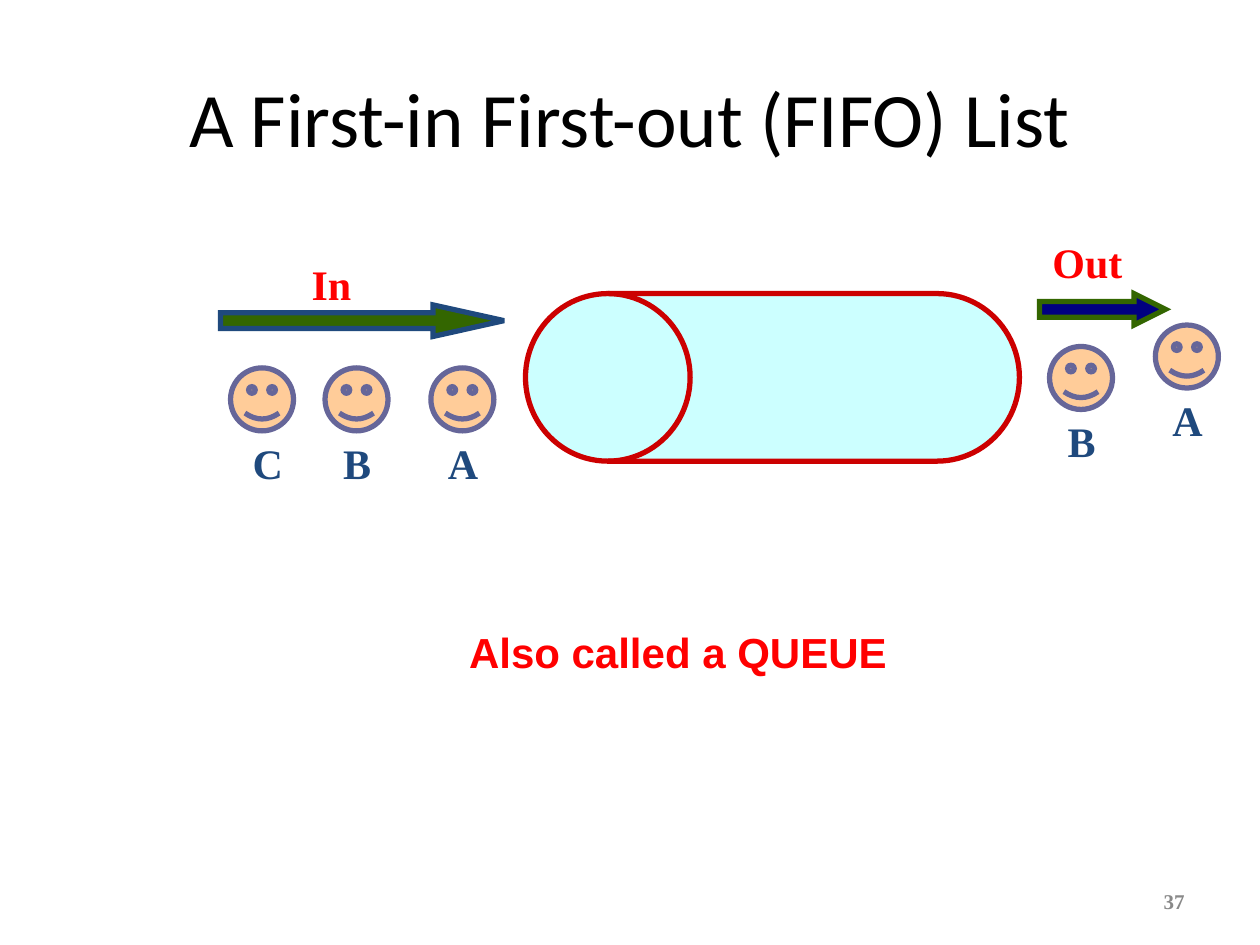
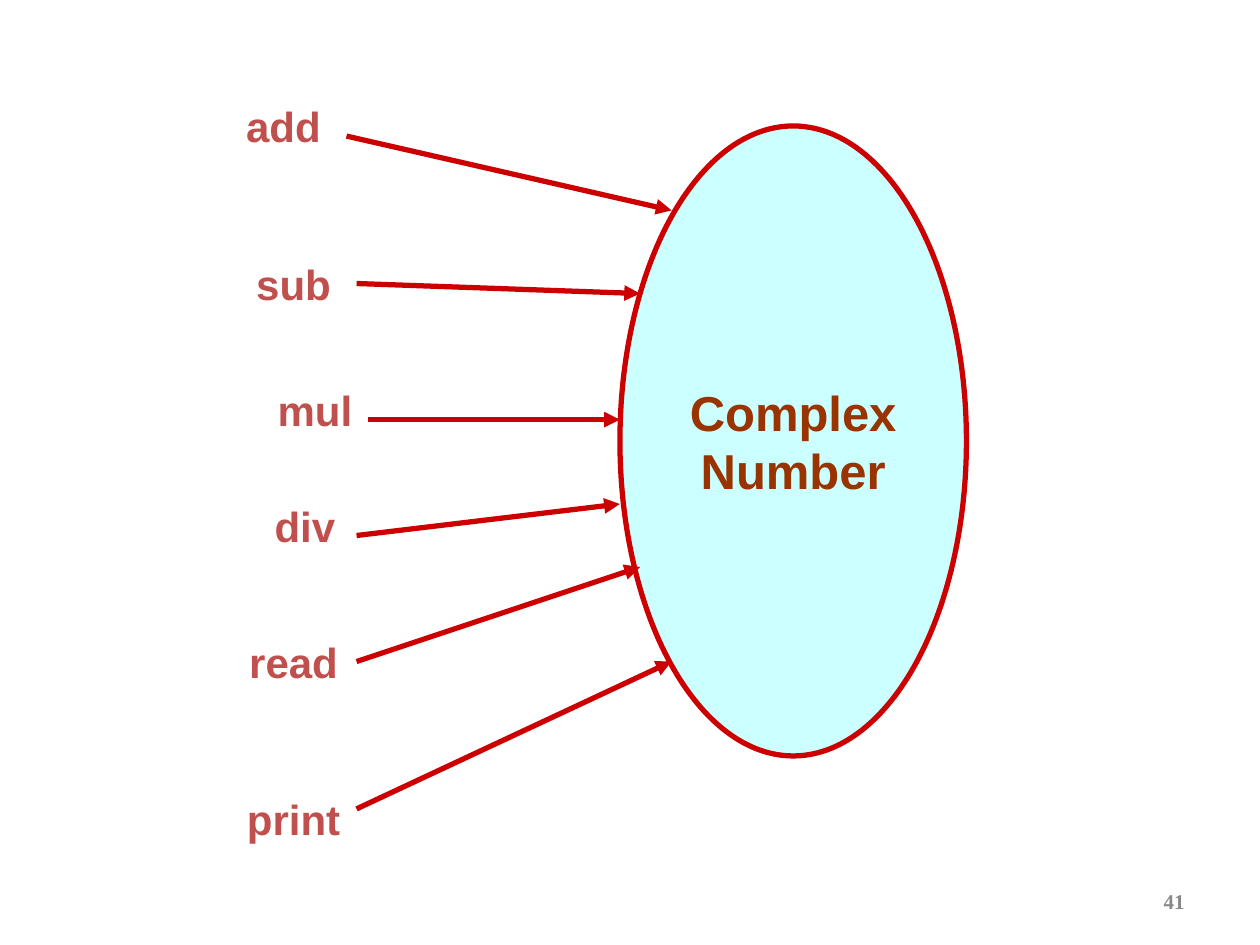
from pptx import Presentation
from pptx.dml.color import RGBColor
from pptx.enum import shapes, text
from pptx.oxml.ns import qn
from pptx.util import Inches, Pt
from lxml import etree

SHAPE = shapes.MSO_SHAPE
CENTER, RIGHT = text.PP_ALIGN.CENTER, text.PP_ALIGN.RIGHT
TOP, MIDDLE = text.MSO_ANCHOR.TOP, text.MSO_ANCHOR.MIDDLE

SERIF, SANS, TITLE_FONT = "Times New Roman", "Arial", "Calibri"
RED, DARK_RED, CYAN = "FF0000", "CC0000", "CCFFFF"
NAVY, GREEN = "1F497D", "336600"
LINE_WIDTH = 3
FACE_SIZE = 0.5


def rgb(hex_color):
    return RGBColor.from_string(hex_color)


def write(tf, lines, size, font, color, bold=True, align=CENTER, anchor=TOP):
    tf.vertical_anchor = anchor
    for i, line in enumerate(lines):
        p = tf.paragraphs[0] if i == 0 else tf.add_paragraph()
        p.alignment = align
        r = p.add_run()
        r.text = line
        r.font.size = Pt(size)
        r.font.name = font
        r.font.bold = bold
        r.font.color.rgb = rgb(color)


def add_text(parent, box, content, size, font, color, **style):
    tf = parent.add_textbox(*map(Inches, box)).text_frame
    tf.word_wrap = True
    write(tf, [content], size, font, color, **style)


def add_shape(parent, kind, box, fill, line):
    sp = parent.add_shape(kind, *map(Inches, box))
    sp.shadow.inherit = False
    sp.fill.solid()
    sp.fill.fore_color.rgb = rgb(fill)
    sp.line.color.rgb = rgb(line)
    sp.line.width = Pt(LINE_WIDTH)
    ln = sp._element.spPr.find(qn("a:ln"))
    etree.SubElement(ln, qn("a:miter"), lim="800000")
    return sp


def add_block_arrow(parent, box, head, fill, line):
    sp = add_shape(parent, SHAPE.RIGHT_ARROW, box, fill, line)
    sp.adjustments[0] = 0.5
    sp.adjustments[1] = head


def add_person(s, name, left, top, label_width=0.67):
    group = s.shapes.add_group_shape().shapes
    face = add_shape(group, SHAPE.SMILEY_FACE,
                     (left, top, FACE_SIZE, FACE_SIZE), "FFCC99", "666699")
    face.adjustments[0] = 0.09
    add_text(group, (left - 0.08, top + FACE_SIZE, label_width, 0.5),
             name, 24, SERIF, NAVY)


def add_arrow(s, start, end):
    points = map(Inches, (*start, *end))
    cx = s.shapes.add_connector(shapes.MSO_CONNECTOR.STRAIGHT, *points)
    cx.line.color.rgb = rgb(DARK_RED)
    cx.line.width = Pt(LINE_WIDTH)
    spPr = cx._element.spPr
    etree.SubElement(spPr.find(qn("a:ln")), qn("a:tailEnd"), type="triangle")
    etree.SubElement(spPr, qn("a:effectLst"))


def add_slide(prs, number):
    s = prs.slides.add_slide(prs.slide_layouts[6])
    add_text(s.shapes, (7.17, 6.95, 2.33, 0.4), str(number), 12, SERIF,
             "898989", align=RIGHT, anchor=MIDDLE)
    return s


def build_queue(prs):
    s = add_slide(prs, 37)
    add_text(s.shapes, (0.5, 0.3, 9, 1.25), "A First-in First-out (FIFO) List",
             44, TITLE_FONT, "000000", bold=False, anchor=MIDDLE)
    drum = add_shape(s.shapes, SHAPE.FLOWCHART_DIRECT_ACCESS_STORAGE,
                     (4.17, 2.33, 3.92, 1.33), CYAN, DARK_RED)
    drum.rotation = 180
    add_block_arrow(s.shapes, (1.75, 2.42, 2.25, 0.25), 2.25, GREEN, NAVY)
    add_block_arrow(s.shapes, (8.25, 2.33, 1, 0.25), 1, "000080", GREEN)
    add_text(s.shapes, (2.67, 4.92, 5.42, 0.5), "Also called a QUEUE",
             24, SANS, RED)
    for label, left, top in (("In", 2.17, 2), ("Out", 8.17, 1.83)):
        add_text(s.shapes, (left, top, 0.92, 0.5), label, 24, SERIF, RED)
    add_person(s, "A", 3.42, 2.92)
    add_person(s, "C", 1.83, 2.92, label_width=0.75)
    add_person(s, "B", 2.58, 2.92)
    add_person(s, "A", 9.17, 2.58)
    add_person(s, "B", 8.33, 2.75)


def build_complex_number(prs):
    s = add_slide(prs, 41)
    ellipse = add_shape(s.shapes, SHAPE.OVAL, (4.92, 1, 2.75, 5),
                        CYAN, DARK_RED)
    ellipse.text_frame.word_wrap = False
    write(ellipse.text_frame, ["Complex", "Number"], 28, SANS, "993300",
          anchor=MIDDLE)
    operations = (
        ("add", (1.75, 0.75), (2.75, 1.08), (5.33, 1.67)),
        ("sub", (1.83, 2), (2.83, 2.25), (5.08, 2.33)),
        ("mul", (2, 3), (2.92, 3.33), (4.92, 3.33)),
        ("div", (1.92, 3.92), (2.83, 4.25), (4.92, 4)),
        ("read", (1.83, 5), (2.83, 5.25), (5.08, 4.5)),
        ("print", (1.83, 6.25), (2.83, 6.42), (5.33, 5.25)),
    )
    for name, corner, start, end in operations:
        add_arrow(s, start, end)
        add_text(s.shapes, (*corner, 1, 0.5), name, 24, SANS, "C0504D")


def main():
    prs = Presentation()
    prs.slide_width, prs.slide_height = Inches(10), Inches(7.5)
    build_queue(prs)
    build_complex_number(prs)
    prs.save("out.pptx")


if __name__ == "__main__":
    main()
